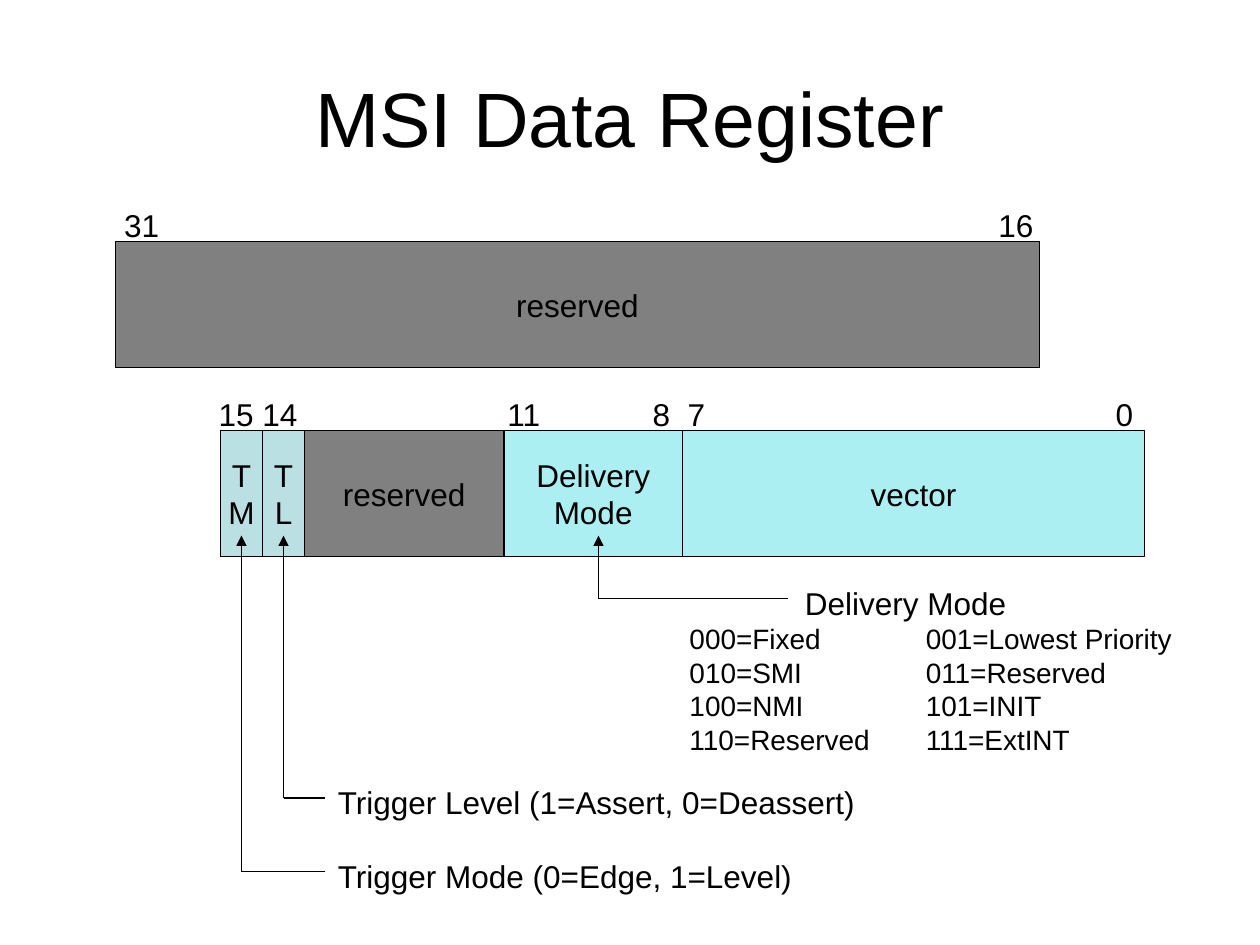
from itertools import pairwise

from lxml.etree import SubElement
from pptx import Presentation
from pptx.dml.color import RGBColor
from pptx.enum.shapes import MSO_CONNECTOR as Connector, MSO_SHAPE as Shape
from pptx.enum.text import MSO_ANCHOR as Anchor, PP_ALIGN as Align
from pptx.oxml.ns import qn
from pptx.util import Pt

GREY, CYAN, PALE = "808080", "ACEFF2", "BBE0E3"


def color(hex_text):
    return RGBColor.from_string(hex_text)


class Diagram:
    font = "Arial"
    ink = "000000"
    size = 18
    line_width = 0.75

    def __init__(self, page):
        self.page = page

    def span(self, para, text, size=None):
        run = para.add_run()
        run.text = text
        run.font.name = self.font
        run.font.size = Pt(size or self.size)
        run.font.color.rgb = color(self.ink)

    def paragraphs(self, frame, lines, align):
        """Write (text, size, tab stops) lines into a text frame."""
        for number, (text, size, stops) in enumerate(lines):
            para = frame.add_paragraph() if number else frame.paragraphs[0]
            para.alignment = align
            self.span(para, text, size)
            if stops:
                tabs = SubElement(para._p.get_or_add_pPr(), qn("a:tabLst"))
                for stop in stops:
                    SubElement(tabs, qn("a:tab"), pos=str(Pt(stop)), algn="l")

    def title(self, text, left, top, width, height):
        box = self.page.shapes.title
        box.left, box.top, box.width, box.height = map(Pt, (left, top, width, height))
        box.text_frame.vertical_anchor = Anchor.MIDDLE
        self.paragraphs(box.text_frame, [(text, 44, ())], Align.CENTER)

    def field(self, left, top, width, height, fill, *lines):
        box = self.page.shapes.add_shape(
            Shape.RECTANGLE, Pt(left), Pt(top), Pt(width), Pt(height))
        box.shadow.inherit = False
        box.fill.solid()
        box.fill.fore_color.rgb = color(fill)
        box.line.color.rgb = color(self.ink)
        box.line.width = Pt(self.line_width)
        frame = box.text_frame
        frame.word_wrap = False
        frame.vertical_anchor = Anchor.MIDDLE
        self.paragraphs(frame, [(line, None, ()) for line in lines], Align.CENTER)

    def text(self, left, top, width, height, lines, inset=7.2):
        box = self.page.shapes.add_textbox(Pt(left), Pt(top), Pt(width), Pt(height))
        frame = box.text_frame
        frame.word_wrap = True
        frame.margin_left = Pt(inset)
        self.paragraphs(frame, lines, Align.LEFT)

    def bit_numbers(self, left, top, width, inset, bits):
        """One row of bit numbers; bits maps each number to its offset."""
        stops = list(bits.values())[1:]
        self.text(left, top, width, 28.8, [("\t".join(bits), None, stops)], inset)

    def line(self, x1, y1, x2, y2, arrow=False):
        line = self.page.shapes.add_connector(
            Connector.STRAIGHT, Pt(x1), Pt(y1), Pt(x2), Pt(y2))
        line.line.color.rgb = color(self.ink)
        line.line.width = Pt(self.line_width)
        if arrow:
            SubElement(line.line._get_or_add_ln(), qn("a:tailEnd"), type="triangle")
        SubElement(line._element.spPr, qn("a:effectLst"))

    def callout(self, x, y, tip, end):
        """An arrow up to a field, with a side line to its explanation."""
        self.line(x, y, x, tip, arrow=True)
        self.line(end, y, x, y)


def main():
    deck = Presentation()
    deck.slide_width, deck.slide_height = Pt(720), Pt(540)
    diagram = Diagram(deck.slides.add_slide(deck.slide_layouts[5]))
    diagram.title("MSI Data Register", 36, 21.6, 648, 90)

    # Upper half of the register
    diagram.field(66, 138, 528, 72, GREY, "reserved")
    diagram.bit_numbers(54, 114, 554, 17, {"31": 0, "16": 499.5})

    # Lower half: fields lie side by side between the edges
    edges = (126, 150, 174, 288, 390, 654)
    fields = (
        (PALE, "T", "M"),
        (PALE, "T", "L"),
        (GREY, "reserved"),
        (CYAN, "Delivery", "Mode"),
        (CYAN, "vector"),
    )
    for (left, right), (fill, *lines) in zip(pairwise(edges), fields):
        diagram.field(left, 246, right - left, 72, fill, *lines)
    diagram.bit_numbers(108, 222, 560, 17, {
        "15": 0, "14": 25, "11": 165, "8": 248, "7": 268, "0": 512.5})

    # Explanations of the trigger bits
    diagram.text(186, 486, 278, 28.8, [("Trigger Mode (0=Edge, 1=Level)", None, ())])
    diagram.text(186, 444, 319, 28.8, [("Trigger Level (1=Assert, 0=Deassert)", None, ())])

    # Delivery mode values in two columns
    modes = (
        ("000=Fixed", "001=Lowest Priority"),
        ("010=SMI", "011=Reserved"),
        ("100=NMI", "101=INIT"),
        ("110=Reserved", "111=ExtINT"),
    )
    rows = [("\tDelivery Mode", None, (66,))]
    rows += [("\t".join(pair), 16, (135,)) for pair in modes]
    diagram.text(378, 330, 306, 108, rows, inset=16)

    # Callouts
    for x, y, end in ((138, 498, 186), (162, 456, 186), (342, 342, 450)):
        diagram.callout(x, y, 306, end)

    deck.save("out.pptx")


if __name__ == "__main__":
    main()
